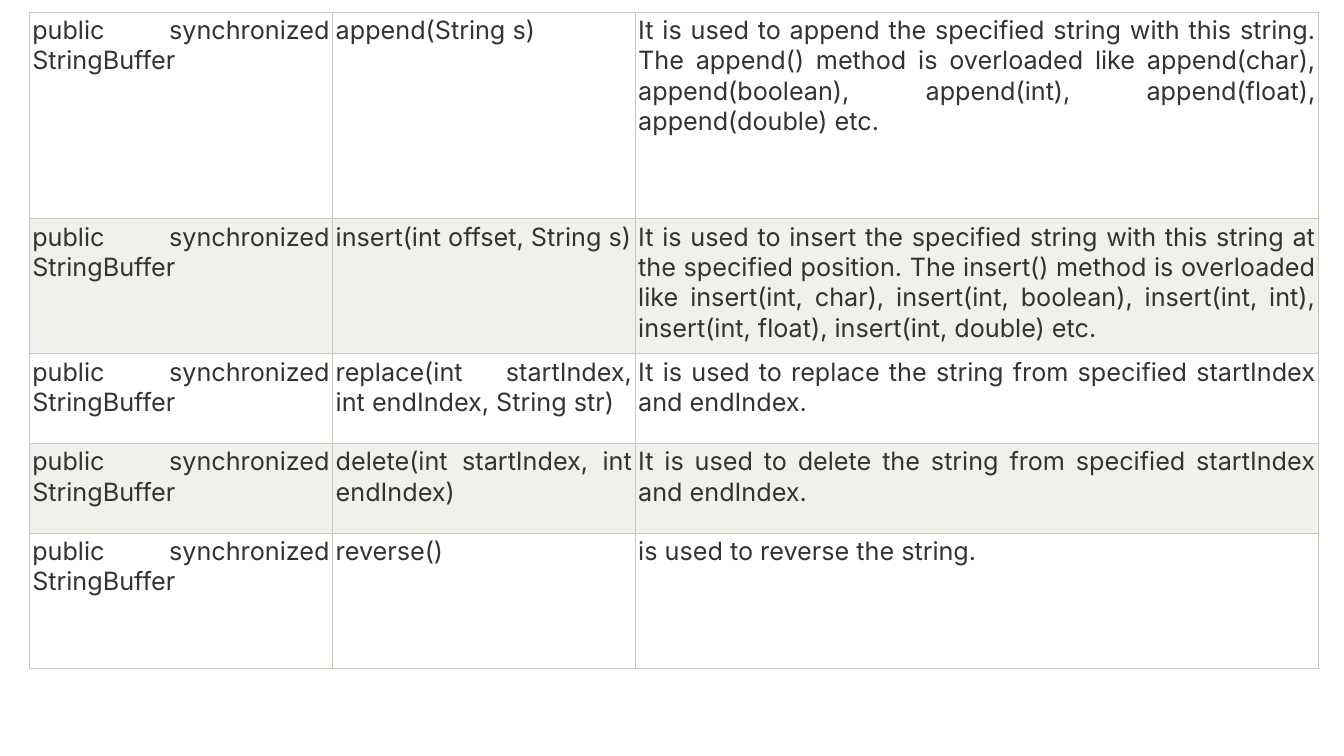
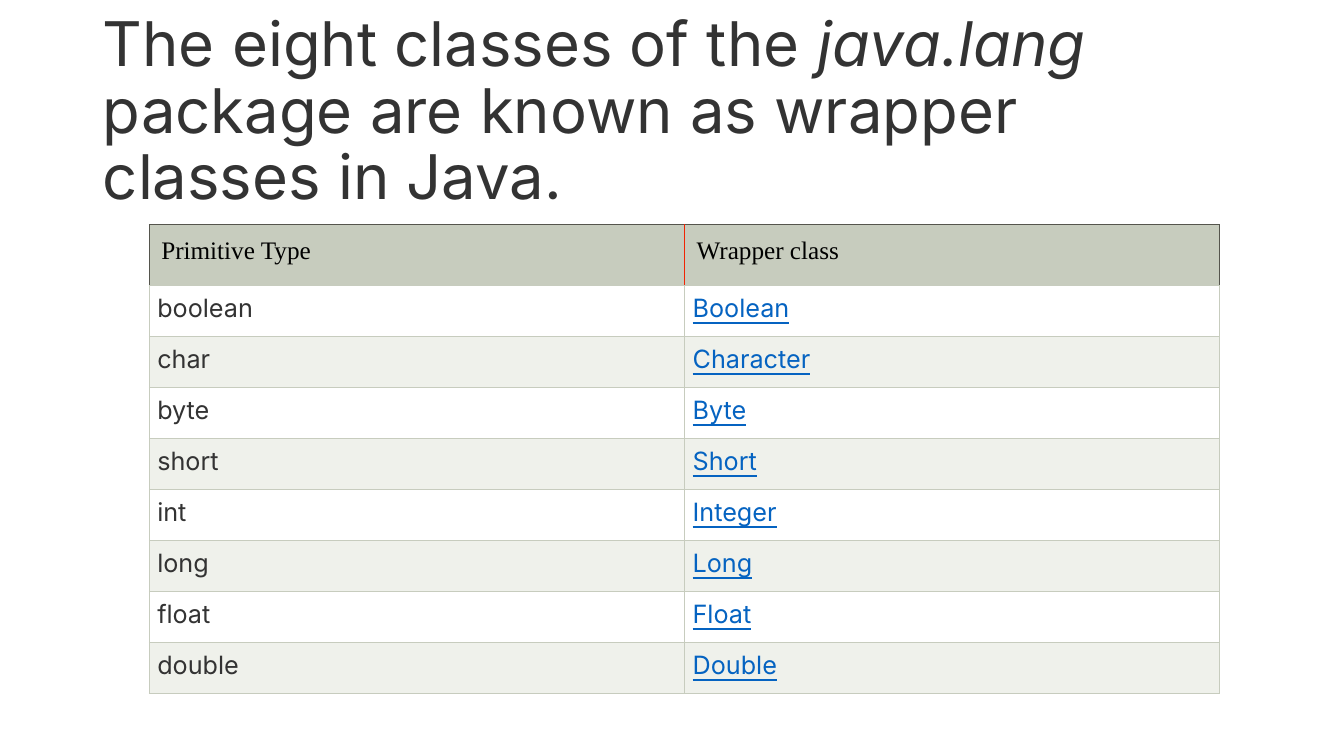
from dataclasses import dataclass

from lxml import etree
from pptx import Presentation
from pptx.dml.color import RGBColor
from pptx.enum.text import MSO_ANCHOR, MSO_AUTO_SIZE, PP_ALIGN
from pptx.oxml.ns import qn
from pptx.util import Inches, Pt

LEFT, JUSTIFY = PP_ALIGN.LEFT, PP_ALIGN.JUSTIFY
MIDDLE = MSO_ANCHOR.MIDDLE
NO_AUTOFIT = MSO_AUTO_SIZE.NONE
TITLE_ONLY, BLANK = 5, 6
EDGES = ("L", "R", "T", "B")


@dataclass(frozen=True)
class Theme:
    background: str = "FFFFFF"
    band: str = "EFF1EB"
    rule: str = "C7CCBE"
    header_frame: str = "55554D"
    header_divider: str = "F02404"
    text: str = "333333"
    header_text: str = "000000"
    link: str = "0563C1"
    font: str = "Inter"
    header_font: str = "Times New Roman"
    title_size: int = 44
    body_size: int = 18
    rule_width: float = 0.75


@dataclass(frozen=True)
class CellStyle:
    margin: float
    color: str
    font: str
    align: int = JUSTIFY
    underline: bool = False


THEME = Theme()
METHOD_STYLE = CellStyle(0.03, THEME.text, THEME.font)
TYPE_STYLE = CellStyle(0.08, THEME.text, THEME.font)
LINK_STYLE = CellStyle(0.08, THEME.link, THEME.font, underline=True)
HEADER_STYLE = CellStyle(0.12, THEME.header_text, THEME.header_font, LEFT)

RETURN_TYPE = "public synchronized StringBuffer"
METHODS = [
    ("append(String s)",
     "It is used to append the specified string with this string. The append() method is "
     "overloaded like append(char), append(boolean), append(int), append(float), "
     "append(double) etc."),
    ("insert(int offset, String s)",
     "It is used to insert the specified string with this string at the specified position. "
     "The insert() method is overloaded like insert(int, char), insert(int, boolean), "
     "insert(int, int), insert(int, float), insert(int, double) etc."),
    ("replace(int startIndex, int endIndex, String str)",
     "It is used to replace the string from specified startIndex and endIndex."),
    ("delete(int startIndex, int endIndex)",
     "It is used to delete the string from specified startIndex and endIndex."),
    ("reverse()", "is used to reverse the string."),
]
WRAPPERS = [
    ("boolean", "Boolean"), ("char", "Character"), ("byte", "Byte"), ("short", "Short"),
    ("int", "Integer"), ("long", "Long"), ("float", "Float"), ("double", "Double"),
]
TITLE_RUNS = [
    ("The eight classes of the ", False),
    ("java.lang", True),
    (" package are known as wrapper classes in Java. ", False),
]


def add_run(paragraph, text, size, color, font):
    run = paragraph.add_run()
    run.text = text
    run.font.size = Pt(size)
    run.font.name = font
    run.font.color.rgb = RGBColor.from_string(color)
    return run


def set_borders(cell, colors):
    """Draw the four cell edges; colors maps an edge letter to its colour."""
    properties = cell._tc.get_or_add_tcPr()
    for edge in EDGES:
        line = etree.SubElement(properties, qn(f"a:ln{edge}"), w=str(Pt(THEME.rule_width)))
        fill = etree.SubElement(line, qn("a:solidFill"))
        etree.SubElement(fill, qn("a:srgbClr"), val=colors.get(edge, THEME.rule))


def fill_cell(cell, text, style, fill, borders):
    set_borders(cell, borders)
    cell.fill.solid()
    cell.fill.fore_color.rgb = RGBColor.from_string(fill)
    cell.margin_left = cell.margin_right = Inches(style.margin)
    cell.margin_top = cell.margin_bottom = Inches(style.margin)
    paragraph = cell.text_frame.paragraphs[0]
    paragraph.alignment = style.align
    run = add_run(paragraph, text, THEME.body_size, style.color, style.font)
    if style.underline:
        run.font.underline = True


def add_plain_table(slide, left, top, column_widths, row_heights):
    shape = slide.shapes.add_table(
        len(row_heights), len(column_widths), Inches(left), Inches(top),
        Inches(sum(column_widths)), Inches(sum(row_heights)))
    table = shape.table
    table.first_row = table.horz_banding = False
    for column, width in zip(table.columns, column_widths):
        column.width = Inches(width)
    for row, height in zip(table.rows, row_heights):
        row.height = Inches(height)
    return table


def fill_body(table, rows, styles, first_row=0):
    """Write rows with alternating fills, one style for each column."""
    for index, values in enumerate(rows):
        fill = THEME.band if index % 2 else THEME.background
        for column, (text, style) in enumerate(zip(values, styles)):
            fill_cell(table.cell(first_row + index, column), text, style, fill, {})


def fill_header(table, labels):
    last = len(labels) - 1
    for column, label in enumerate(labels):
        borders = {
            "T": THEME.header_frame,
            "L": THEME.header_divider if column else THEME.header_frame,
            "R": THEME.header_divider if column < last else THEME.header_frame,
        }
        fill_cell(table.cell(0, column), label, HEADER_STYLE, THEME.rule, borders)


def format_title(slide, left, top, width, height):
    title = slide.shapes.title
    title.left, title.top = Inches(left), Inches(top)
    title.width, title.height = Inches(width), Inches(height)
    frame = title.text_frame
    frame.word_wrap = True
    frame.auto_size = NO_AUTOFIT
    frame.vertical_anchor = MIDDLE
    paragraph = frame.paragraphs[0]
    paragraph.alignment = LEFT
    paragraph.line_spacing = 0.9
    for text, italic in TITLE_RUNS:
        run = add_run(paragraph, text, THEME.title_size, THEME.text, THEME.font)
        run.font.italic = italic


def add_slide(presentation, layout):
    slide = presentation.slides.add_slide(presentation.slide_layouts[layout])
    slide.background.fill.solid()
    slide.background.fill.fore_color.rgb = RGBColor.from_string(THEME.background)
    return slide


def build_methods_slide(presentation):
    slide = add_slide(presentation, BLANK)
    table = add_plain_table(slide, 0.29, 0.12, [3.01, 3, 6.78], [2.05, 1.34, 0.89, 0.89, 1.34])
    rows = [(RETURN_TYPE, *method) for method in METHODS]
    fill_body(table, rows, [METHOD_STYLE] * 3)


def build_wrappers_slide(presentation):
    slide = add_slide(presentation, TITLE_ONLY)
    format_title(slide, 0.92, 0.4, 11.5, 1.45)
    table = add_plain_table(slide, 1.48, 2.23, [5.31] * 2, [0.6] + [0.506] * len(WRAPPERS))
    fill_header(table, ["Primitive Type", "Wrapper class"])
    fill_body(table, WRAPPERS, [TYPE_STYLE, LINK_STYLE], first_row=1)


def main():
    presentation = Presentation()
    presentation.slide_width, presentation.slide_height = Inches(13.33), Inches(7.5)
    build_methods_slide(presentation)
    build_wrappers_slide(presentation)
    presentation.save("out.pptx")


if __name__ == "__main__":
    main()
